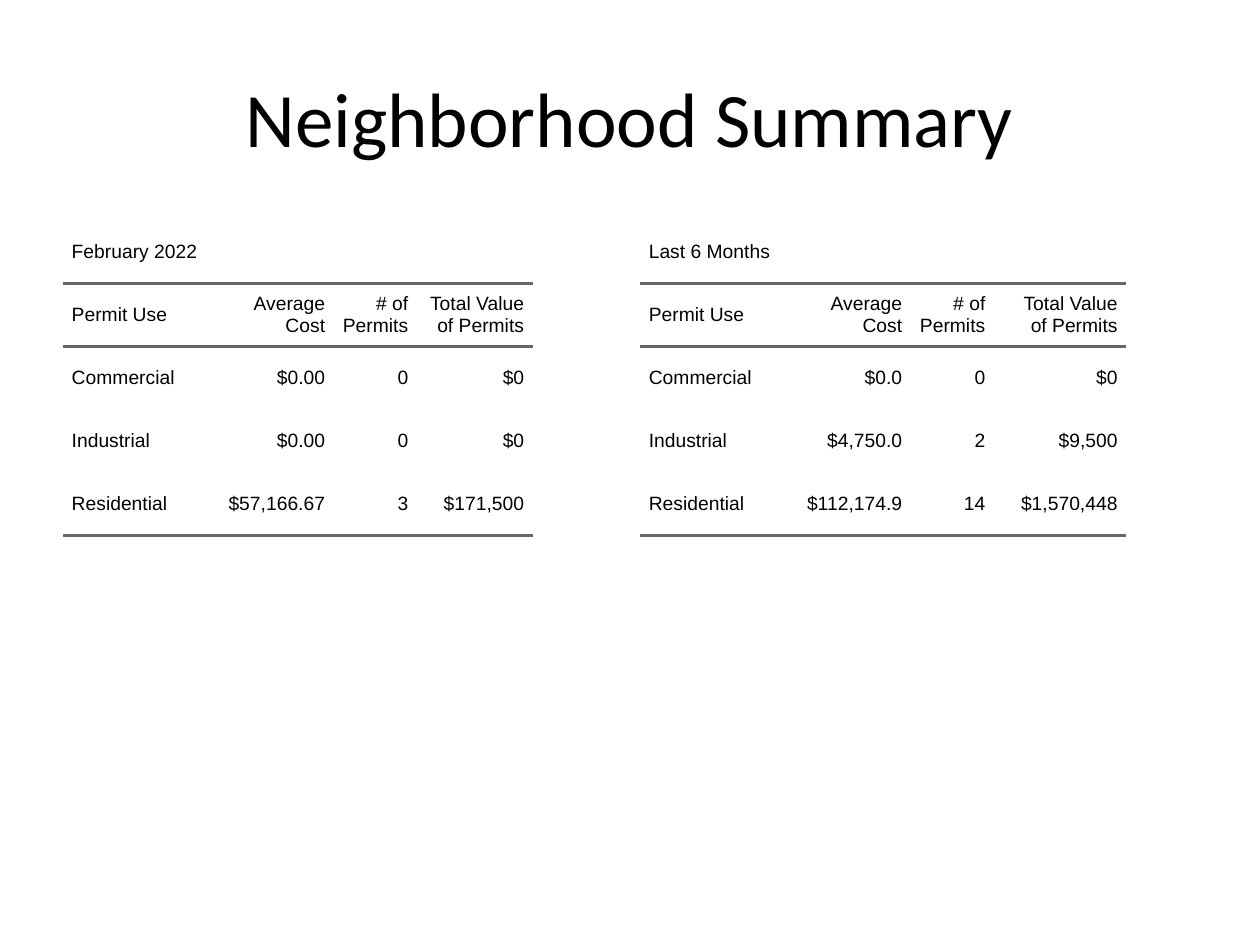
from lxml.etree import SubElement
from pptx import Presentation
from pptx.dml.color import RGBColor
from pptx.enum.text import MSO_ANCHOR, PP_ALIGN
from pptx.oxml.ns import qn
from pptx.util import Inches, Pt

BLACK = RGBColor(0x00, 0x00, 0x00)
GRAY = RGBColor(0x66, 0x66, 0x66)
PLAIN = "{2D5ABB26-0587-4C30-8999-92F81FD0307C}"  # no style, no grid

HEADS = ["Permit Use", "Average Cost", "# of Permits", "Total Value of Permits"]
MONTH = [
    ["Commercial", "$0.00", "0", "$0"],
    ["Industrial", "$0.00", "0", "$0"],
    ["Residential", "$57,166.67", "3", "$171,500"],
]
HALF = [
    ["Commercial", "$0.0", "0", "$0"],
    ["Industrial", "$4,750.0", "2", "$9,500"],
    ["Residential", "$112,174.9", "14", "$1,570,448"],
]


class Deck:
    head_font = "Calibri"
    body_font = "Arial"
    row_high = 0.5
    pad = Pt(5)

    def __init__(self, slide):
        self.slide = slide

    def add_run(self, para, text, font, size):
        run = para.add_run()
        run.text = text
        run.font.name = font
        run.font.size = Pt(size)
        run.font.color.rgb = BLACK

    def title(self, text, left, top, width, height):
        box = self.slide.shapes.add_textbox(
            Inches(left), Inches(top), Inches(width), Inches(height))
        frame = box.text_frame
        frame.word_wrap = True
        frame.vertical_anchor = MSO_ANCHOR.MIDDLE
        para = frame.paragraphs[0]
        para.alignment = PP_ALIGN.CENTER
        self.add_run(para, text, self.head_font, 44)

    def rule(self, cell, side):
        line = SubElement(cell._tc.get_or_add_tcPr(), qn(f"a:ln{side}"),
                          w=str(Pt(2)))
        fill = SubElement(line, qn("a:solidFill"))
        SubElement(fill, qn("a:srgbClr"), val=str(GRAY))

    def cell(self, cell, text, align, sides):
        cell.margin_left = cell.margin_right = 0
        cell.margin_top = cell.margin_bottom = 0
        cell.vertical_anchor = MSO_ANCHOR.MIDDLE
        for side in sides:
            self.rule(cell, side)
        cell.fill.background()
        para = cell.text_frame.paragraphs[0]
        para.alignment = align
        para.space_before = para.space_after = self.pad
        props = para._p.get_or_add_pPr()
        for name in ("marL", "marR"):
            props.set(name, str(self.pad))
        props.set("indent", "0")
        self.add_run(para, text, self.body_font, 11)

    def table(self, label, data, left, top, widths):
        rows = [[label], HEADS] + data
        table = self.slide.shapes.add_table(
            len(rows), len(widths), Inches(left), Inches(top),
            Inches(sum(widths)), Inches(self.row_high * len(rows))).table
        table.first_row = table.horz_banding = False
        table._tbl.tblPr.find(qn("a:tableStyleId")).text = PLAIN
        for col, width in zip(table.columns, widths):
            col.width = Inches(width)
        table.cell(0, 0).merge(table.cell(0, len(widths) - 1))

        # Rules frame the heading row and close the last row
        sides = {1: "TB", len(rows) - 1: "B"}
        for r, row in enumerate(rows):
            for c, text in enumerate(row):
                align = PP_ALIGN.RIGHT if c else PP_ALIGN.LEFT
                self.cell(table.cell(r, c), text, align, sides.get(r, ""))


def main():
    prs = Presentation()
    prs.slide_width = Inches(10)
    prs.slide_height = Inches(7.5)
    deck = Deck(prs.slides.add_slide(prs.slide_layouts[6]))

    # Permit tables, side by side
    deck.table("February 2022", MONTH, 0.5, 1.75, [1.1, 1.05, 0.66, 0.92])
    deck.table("Last 6 Months", HALF, 5.08, 1.75, [1.1, 1.05, 0.66, 1.05])

    # Title
    deck.title("Neighborhood Summary", 0.5, 0.3, 9, 1.25)

    prs.save("out.pptx")


if __name__ == "__main__":
    main()
